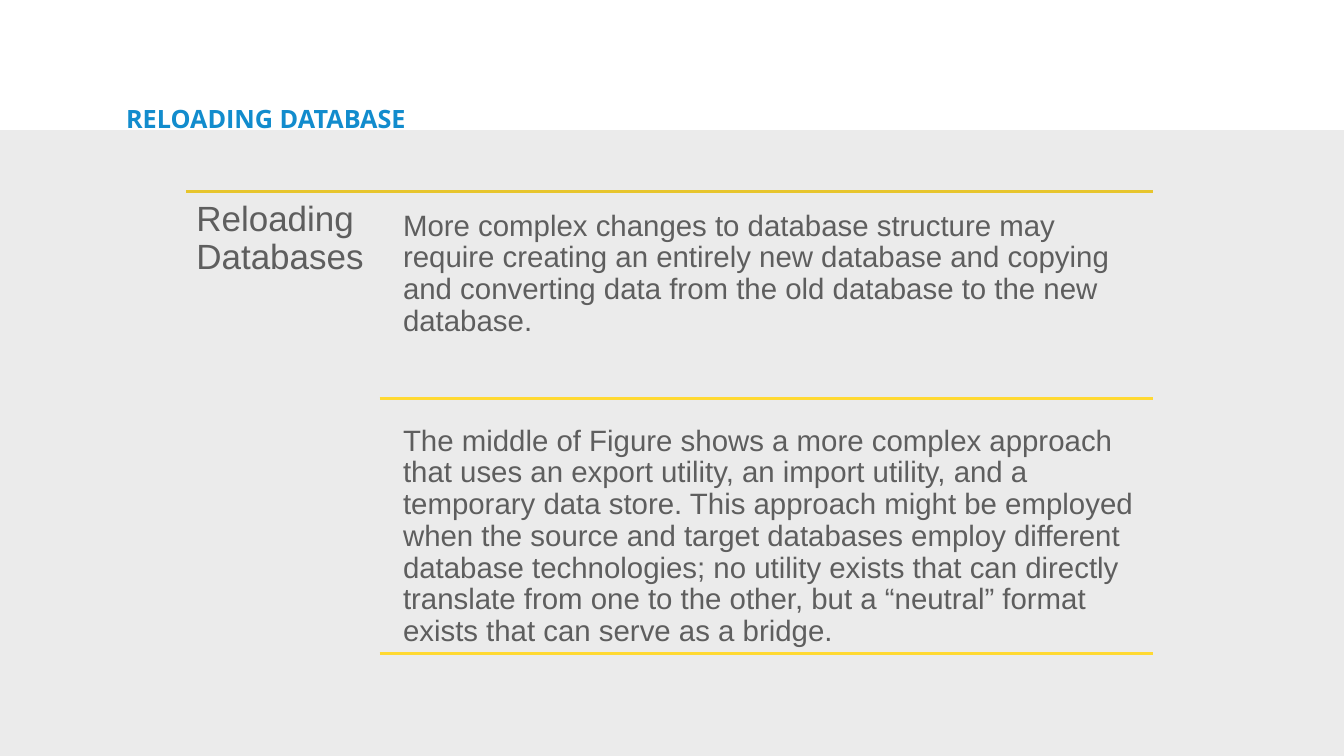
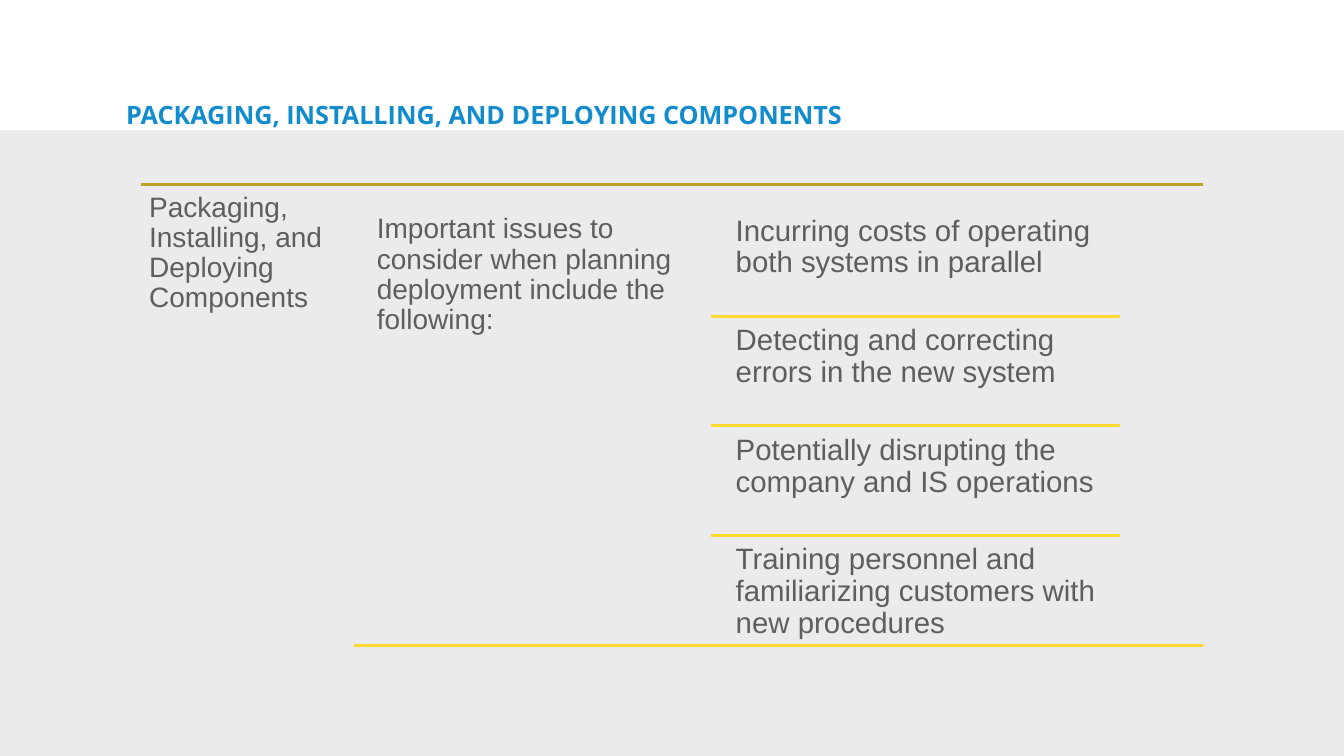
from dataclasses import dataclass

import pptx
import pptx.dml.color
import pptx.enum.shapes
import pptx.enum.text
import pptx.oxml
import pptx.oxml.ns
import pptx.presentation
import pptx.slide
import pptx.util

COLORS = {
    "title": "128CCD",
    "band": "EBEBEB",
    "body": "5E5E5E",
    "rule": "FFD932",
    "reload_rule": "E7C52D",
    "deploy_rule": "BDA125",
}
TITLE_FONT = "Open Sans"
BODY_FONT = "Arial"
COLUMNS = 160
ROWS = 90
SLIDE_WIDTH = pptx.util.Inches(13.33)
SLIDE_HEIGHT = pptx.util.Inches(7.5)
BAND_TOP = 15.5
TITLE_LEFT = 14.3


@dataclass(frozen=True)
class Block:
    text: str
    column: float
    row: float
    width: float
    height: float
    size: float = 21
    inset: float = 0.09
    font: str = BODY_FONT
    color: str = "body"
    bold: bool = False
    spacing: float = 0.9


@dataclass(frozen=True)
class Rule:
    start: float
    end: float
    row: float
    color: str = "rule"


@dataclass(frozen=True)
class Page:
    title: Block
    blocks: list[Block]
    rules: list[Rule]


def across(columns: float) -> int:
    return round(SLIDE_WIDTH * columns / COLUMNS)


def down(rows: float) -> int:
    return round(SLIDE_HEIGHT * rows / ROWS)


def rgb(name: str) -> pptx.dml.color.RGBColor:
    return pptx.dml.color.RGBColor.from_string(COLORS[name])


def title_block(text: str, row: float, width: float, height: float) -> Block:
    return Block(text, TITLE_LEFT, row, width, height, size=18, inset=0.06,
                 font=TITLE_FONT, color="title", bold=True, spacing=1.15)


def draw_band(slide: pptx.slide.Slide) -> None:
    band = slide.shapes.add_shape(
        pptx.enum.shapes.MSO_SHAPE.RECTANGLE,
        0, down(BAND_TOP), SLIDE_WIDTH, down(ROWS - BAND_TOP))
    band.shadow.inherit = False
    band.fill.solid()
    band.fill.fore_color.rgb = rgb("band")
    band.line.fill.background()


def draw_block(slide: pptx.slide.Slide, block: Block) -> None:
    box = slide.shapes.add_textbox(
        across(block.column), down(block.row),
        across(block.width), down(block.height))
    frame = box.text_frame
    frame.word_wrap = True
    frame.vertical_anchor = pptx.enum.text.MSO_ANCHOR.TOP
    inset = pptx.util.Inches(block.inset)
    frame.margin_left = frame.margin_right = inset
    frame.margin_top = frame.margin_bottom = inset
    paragraph = frame.paragraphs[0]
    paragraph.text = block.text
    paragraph.line_spacing = block.spacing
    paragraph.font.name = block.font
    paragraph.font.size = pptx.util.Pt(block.size)
    paragraph.font.bold = block.bold
    paragraph.font.color.rgb = rgb(block.color)


def draw_rule(slide: pptx.slide.Slide, rule: Rule) -> None:
    line = slide.shapes.add_connector(
        pptx.enum.shapes.MSO_CONNECTOR.STRAIGHT,
        across(rule.start), down(rule.row), across(rule.end), down(rule.row))
    line.line.color.rgb = rgb(rule.color)
    line.line.width = pptx.util.Pt(2)
    properties = line._element.spPr
    properties.append(pptx.oxml.parse_xml(
        f'<a:effectLst {pptx.oxml.ns.nsdecls("a")}/>'))


def draw_page(presentation: pptx.presentation.Presentation, page: Page) -> None:
    slide = presentation.slides.add_slide(presentation.slide_layouts[6])
    draw_band(slide)
    draw_block(slide, page.title)
    for rule in page.rules:
        draw_rule(slide, rule)
    for block in page.blocks:
        draw_block(slide, block)


def reloading_page() -> Page:
    left, right, top = 22.2, 137.3, 22.8
    text_left, rule_left = 46.9, 45.2
    text_width = right - rule_left - 1.7
    blocks = [
        Block("Reloading Databases", left, top, 23, 56.3, size=25, inset=0.1),
        Block("More complex changes to database structure may require creating "
              "an entirely new database and copying and converting data from "
              "the old database to the new database.",
              text_left, 24, text_width, 23.5),
        Block("The middle of Figure shows a more complex approach that uses an "
              "export utility, an import utility, and a temporary data store. "
              "This approach might be employed when the source and target "
              "databases employ different database technologies; no utility "
              "exists that can directly translate from one to the other, but a "
              "“neutral” format exists that can serve as a bridge.",
              text_left, 49.6, text_width, 29.2),
    ]
    rules = [Rule(left, right, top, "reload_rule")]
    rules += [Rule(rule_left, right, row) for row in (47.4, 77.8)]
    return Page(title_block("RELOADING DATABASE", 11, 96.6, 4.7), blocks, rules)


def deploying_page() -> Page:
    left, right, top = 16.8, 143.2, 22
    issues_top, issue_height = 24.6, 13.05
    issues = [
        "Incurring costs of operating both systems in parallel",
        "Detecting and correcting errors in the new system",
        "Potentially disrupting the company and IS operations",
        "Training personnel and familiarizing customers with new procedures",
    ]
    issues_height = issue_height * len(issues)
    blocks = [
        Block("Packaging, Installing, and Deploying Components",
              left, top, 25.3, 57.5, size=20, inset=0.08),
        Block("Important issues to consider when planning deployment include "
              "the following:",
              43.9, issues_top, 40.7, issues_height, size=20, inset=0.08),
    ]
    rules = [Rule(left, right, top, "deploy_rule")]
    for index, issue in enumerate(issues):
        row = issues_top + index * issue_height
        blocks.append(Block(issue, 86.5, row, 48.7, issue_height))
        if index:
            rules.append(Rule(84.6, 133.3, row))
    rules.append(Rule(42.1, right, issues_top + issues_height))
    title = title_block("PACKAGING, INSTALLING, AND DEPLOYING COMPONENTS",
                        10.6, 98, 5.1)
    return Page(title, blocks, rules)


def main() -> None:
    presentation = pptx.Presentation()
    presentation.slide_width = SLIDE_WIDTH
    presentation.slide_height = SLIDE_HEIGHT
    for page in (reloading_page(), deploying_page()):
        draw_page(presentation, page)
    presentation.save("out.pptx")


if __name__ == "__main__":
    main()
